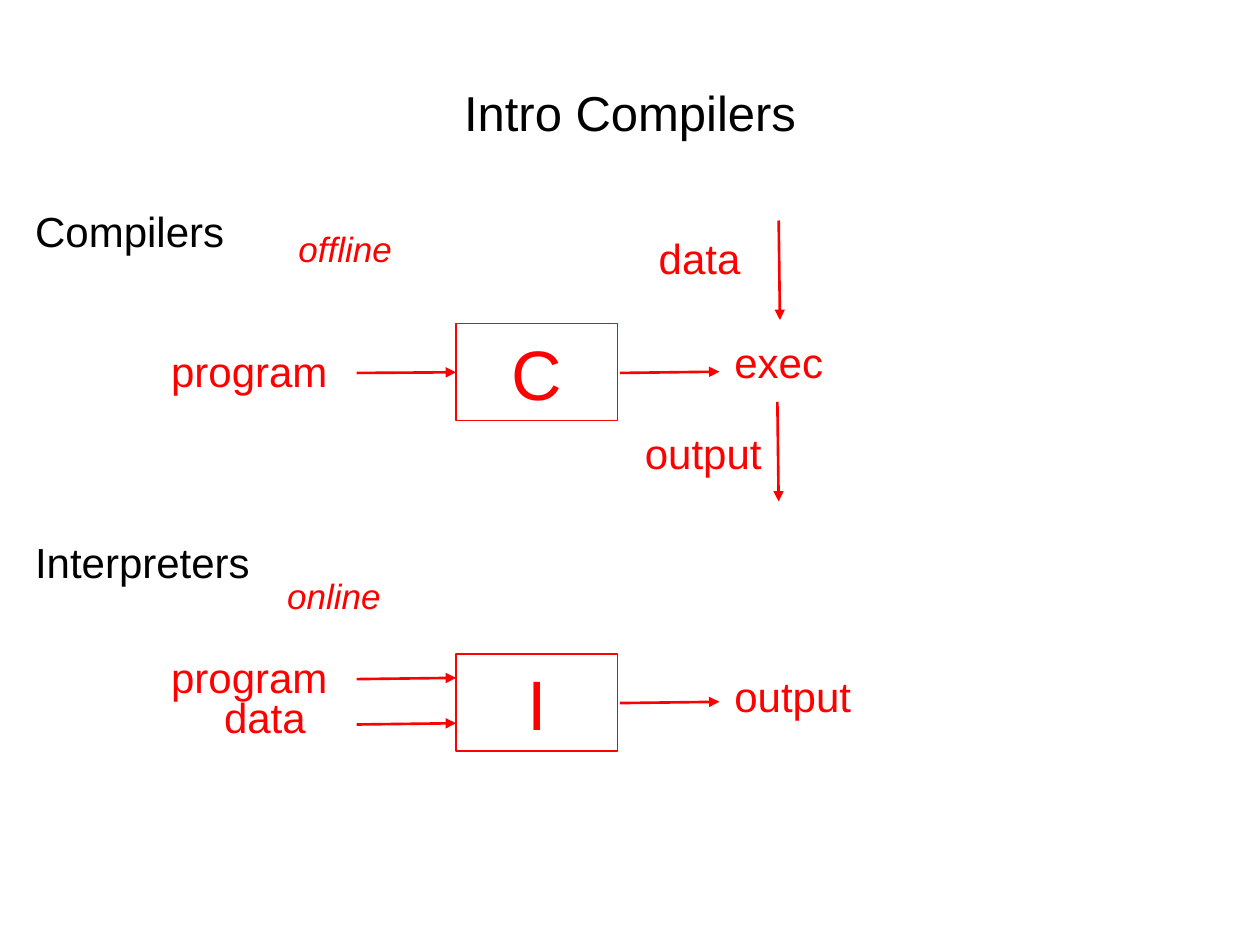
from lxml import etree
from pptx import Presentation, util as u
from pptx.dml.color import RGBColor
from pptx.enum import shapes, text
from pptx.oxml.ns import qn

COLORS = {"ink": "000000", "accent": "FF0000", "paper": "FFFFFF"}


class Diagram:
    """Draws labels, boxes and arrows in one style on a slide."""

    def __init__(self, slide, font="Arial"):
        self.slide = slide
        self.font = font

    def color(self, name):
        return RGBColor.from_string(COLORS[name])

    def set_text(self, shape, words, size, color, italic=False, align=None):
        shape.text_frame.text = words
        paragraph = shape.text_frame.paragraphs[0]
        paragraph.alignment = align
        paragraph.font.name = self.font
        paragraph.font.size = u.Pt(size)
        paragraph.font.italic = italic
        paragraph.font.color.rgb = self.color(color)

    def title(self, words):
        shape = self.slide.shapes.title
        shape.left, shape.top = u.Inches(0), u.Inches(0)
        shape.width, shape.height = u.Inches(10), u.Inches(1.2)
        shape.fill.solid()
        shape.fill.fore_color.rgb = self.color("paper")
        frame = shape.text_frame
        frame.auto_size = text.MSO_AUTO_SIZE.NONE
        frame.vertical_anchor = text.MSO_ANCHOR.BOTTOM
        frame.margin_bottom = u.Inches(0.08)
        self.set_text(shape, words, 28, "ink", align=text.PP_ALIGN.CENTER)

    def label(self, words, left, top, width, color="accent", size=24, italic=False):
        height = 0.5 if size == 24 else 0.44
        shape = self.slide.shapes.add_textbox(
            u.Inches(left), u.Inches(top), u.Inches(width), u.Inches(height))
        shape.text_frame.word_wrap = False
        self.set_text(shape, words, size, color, italic)

    def box(self, words, left, top):
        shape = self.slide.shapes.add_shape(
            shapes.MSO_SHAPE.RECTANGLE,
            u.Inches(left), u.Inches(top), u.Inches(1.28), u.Inches(0.77))
        shape.shadow.inherit = False
        shape.fill.background()
        shape.line.color.rgb = self.color("accent")
        shape.line.width = u.Pt(0.75)
        self.set_text(shape, words, 40, "accent", align=text.PP_ALIGN.CENTER)
        return shape

    def arrow(self, x1, y1, x2, y2, target=None):
        connector = self.slide.shapes.add_connector(
            shapes.MSO_CONNECTOR.STRAIGHT,
            u.Inches(x1), u.Inches(y1), u.Inches(x2), u.Inches(y2))
        connector.line.color.rgb = self.color("accent")
        connector.line.width = u.Pt(1.5)
        properties = connector._element.spPr
        line = properties.find(qn("a:ln"))
        etree.SubElement(line, qn("a:tailEnd"), type="triangle")
        etree.SubElement(properties, qn("a:effectLst"))
        if target is not None:
            connector.end_connect(target, 1)


def main():
    presentation = Presentation()
    presentation.slide_width = u.Inches(10)
    presentation.slide_height = u.Inches(7.5)
    slide = presentation.slides.add_slide(presentation.slide_layouts[5])
    diagram = Diagram(slide)
    diagram.title("Intro Compilers")

    diagram.label("Compilers", 0.18, 1.58, 1.72, "ink")
    diagram.label("offline", 2.27, 1.76, 0.95, size=20, italic=True)
    compiler = diagram.box("C", 3.62, 2.57)
    diagram.label("program", 1.26, 2.69, 1.46)
    diagram.arrow(2.83, 2.96, 3.62, 2.96, compiler)
    diagram.arrow(4.92, 2.96, 5.71, 2.95)
    diagram.label("exec", 5.73, 2.62, 0.91)
    diagram.label("data", 5.13, 1.8, 0.86)
    diagram.arrow(6.18, 1.75, 6.19, 2.54)
    diagram.label("output", 5.02, 3.34, 1.14)
    diagram.arrow(6.17, 3.19, 6.18, 3.98)

    diagram.label("Interpreters", 0.18, 4.21, 1.92, "ink")
    diagram.label("online", 2.18, 4.51, 0.95, size=20, italic=True)
    diagram.box("I", 3.62, 5.19)
    diagram.label("program", 1.26, 5.12, 1.46)
    diagram.arrow(2.83, 5.39, 3.62, 5.38)
    diagram.label("data", 1.68, 5.44, 0.86)
    diagram.arrow(2.83, 5.75, 3.62, 5.74)
    diagram.arrow(4.92, 5.58, 5.71, 5.57)
    diagram.label("output", 5.73, 5.27, 1.14)

    presentation.save("out.pptx")


if __name__ == "__main__":
    main()
